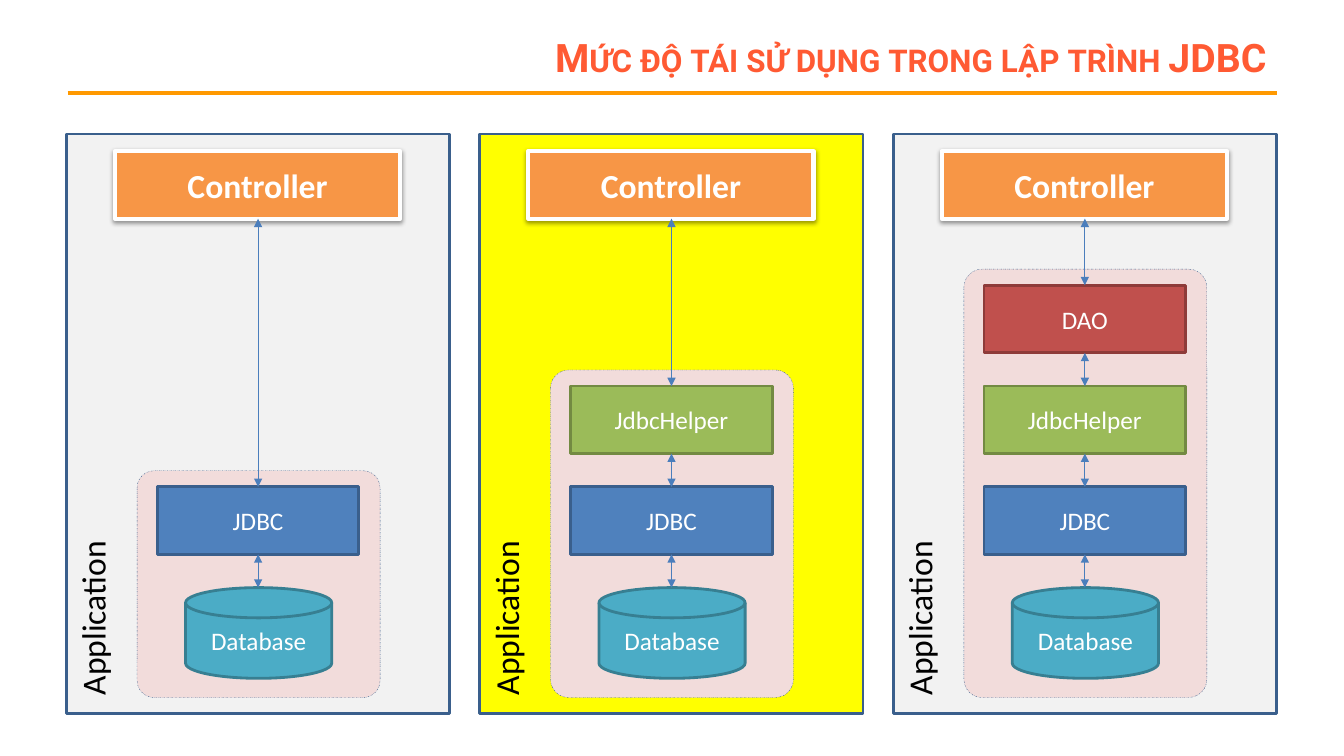
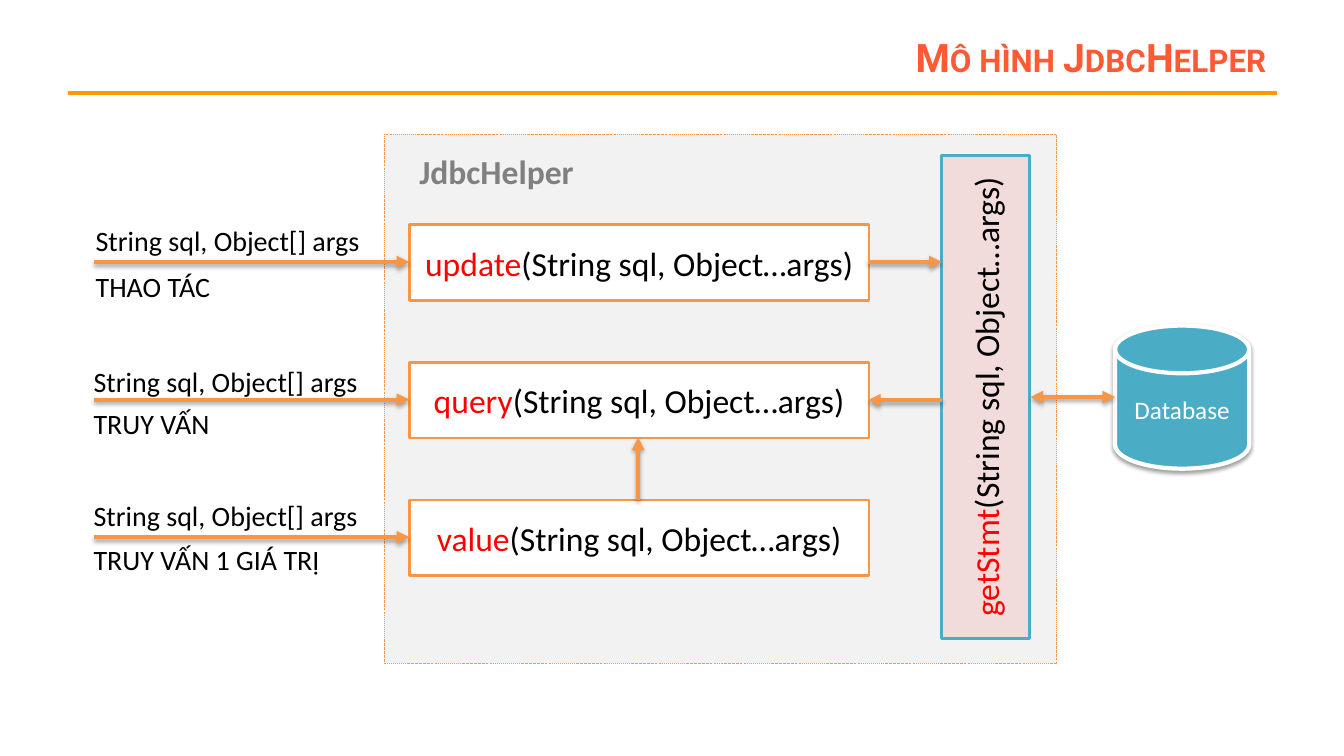
from lxml import etree
from pptx import Presentation
from pptx.dml.color import RGBColor
from pptx.enum import dml, shapes, text
from pptx.oxml import ns
from pptx.util import Inches, Pt

ORANGE_RED = RGBColor(0xFF, 0x5A, 0x33)
AMBER = RGBColor(0xFF, 0x99, 0x00)
ORANGE = RGBColor(0xF7, 0x96, 0x46)
BLUE = RGBColor(0x4F, 0x81, 0xBD)
BLUE_EDGE = RGBColor(0x3A, 0x5F, 0x8C)
BLUE_ARROW = RGBColor(0x4B, 0x7E, 0xBC)
GREEN = RGBColor(0x9B, 0xBB, 0x59)
GREEN_EDGE = RGBColor(0x73, 0x8A, 0x42)
BRICK = RGBColor(0xC0, 0x50, 0x4D)
BRICK_EDGE = RGBColor(0x8E, 0x3B, 0x39)
TEAL = RGBColor(0x4B, 0xAC, 0xC6)
TEAL_EDGE = RGBColor(0x37, 0x7F, 0x92)
PINK = RGBColor(0xF2, 0xDC, 0xDB)
PALE = RGBColor(0xF2, 0xF2, 0xF2)
YELLOW = RGBColor(0xFF, 0xFF, 0x00)
RED = RGBColor(0xFF, 0x00, 0x00)
GRAY = RGBColor(0x80, 0x80, 0x80)
BLACK = RGBColor(0x00, 0x00, 0x00)
WHITE = RGBColor(0xFF, 0xFF, 0xFF)

RECT = shapes.MSO_SHAPE.RECTANGLE
ROUNDED = shapes.MSO_SHAPE.ROUNDED_RECTANGLE
DISK = shapes.MSO_SHAPE.FLOWCHART_MAGNETIC_DISK

TITLE_BOX = (2.44, 0.3, 10.22, 0.53)
ARGS = "(String sql, Object…args)"
LAYERS = [("JDBC", 4.83, BLUE, BLUE_EDGE),
          ("JdbcHelper", 3.83, GREEN, GREEN_EDGE),
          ("DAO", 2.83, BRICK, BRICK_EDGE)]
METHODS = [("update", "THAO TÁC", 0.85, 2.17, 2.62),
           ("query", "TRUY VẤN", 0.83, 3.57, 3.98),
           ("value", "TRUY VẤN 1 GIÁ TRỊ", 0.83, 4.9, 5.33)]


def write(p, content, size=18, color=WHITE, bold=False, font="Calibri", align=None):
    """Append one formatted run to a paragraph and return it."""
    p.alignment = align
    r = p.add_run()
    r.text = content
    r.font.size, r.font.bold, r.font.name = Pt(size), bold, font
    r.font.color.rgb = color
    return r


def add_shadow(effects, alpha, distance):
    """Put a soft downward shadow into an effect list."""
    outer = etree.SubElement(effects, ns.qn("a:outerShdw"), blurRad=str(Pt(3.1)),
                             dist=str(Pt(distance)), dir="5400000", rotWithShape="0")
    color = etree.SubElement(outer, ns.qn("a:srgbClr"), val=str(BLACK))
    etree.SubElement(color, ns.qn("a:alpha"), val=str(alpha * 1000))


def add_box(slide, kind, box, fill, edge, width=2, dashed=False, shadow=False, runs=(), **fmt):
    """Draw a preset shape with centred runs given as (text, colour)."""
    sp = slide.shapes.add_shape(kind, *map(Inches, box))
    sp.fill.solid()
    sp.fill.fore_color.rgb = fill
    sp.line.color.rgb = edge
    sp.line.width = Pt(width)
    if dashed:
        sp.line.dash_style = dml.MSO_LINE.DASH_DOT
    sp.shadow.inherit = False
    if shadow:
        add_shadow(sp.element.spPr.find(ns.qn("a:effectLst")), 38, 1.6)
    tf = sp.text_frame
    tf.vertical_anchor = text.MSO_ANCHOR.MIDDLE
    for content, color in runs:
        write(tf.paragraphs[0], content, color=color, align=text.PP_ALIGN.CENTER, **fmt)
    return sp


def add_label(slide, box, content, **fmt):
    """Add a single-line text box."""
    sp = slide.shapes.add_textbox(*map(Inches, box))
    tf = sp.text_frame
    tf.word_wrap = False
    tf.auto_size = text.MSO_AUTO_SIZE.SHAPE_TO_FIT_TEXT
    write(tf.paragraphs[0], content, **fmt)
    return sp


def add_line(slide, start, end, color=ORANGE, width=3, ends=(), shadow=False):
    """Draw a straight line with arrowheads at the named ends."""
    line = slide.shapes.add_connector(shapes.MSO_CONNECTOR.STRAIGHT,
                                      *map(Inches, (*start, *end)))
    line.line.color.rgb = color
    line.line.width = Pt(width)
    spPr = line.element.spPr
    for name in ends:
        etree.SubElement(spPr.find(ns.qn("a:ln")), ns.qn(f"a:{name}End"), type="triangle")
    effects = etree.SubElement(spPr, ns.qn("a:effectLst"))
    if shadow:
        add_shadow(effects, 35, 1.8)
    return line


def add_slide(prs, title):
    """Add a slide with the shared title style."""
    slide = prs.slides.add_slide(prs.slide_layouts[5])
    sp = slide.shapes.title
    sp.left, sp.top, sp.width, sp.height = map(Inches, TITLE_BOX)
    tf = sp.text_frame
    tf.vertical_anchor = text.MSO_ANCHOR.MIDDLE
    r = write(tf.paragraphs[0], title, size=28, color=ORANGE_RED, bold=True,
              font="Roboto", align=text.PP_ALIGN.RIGHT)
    r.font.element.set("cap", "small") if hasattr(r.font, "element") else \
        r.text and tf.paragraphs[0].runs[0]._r.get_or_add_rPr().set("cap", "small")
    add_line(slide, (0.67, 0.92), (12.67, 0.92), AMBER)
    return slide


def add_stack(slide, center, layers, fill):
    """Draw one application panel with its controller, layers and database."""
    add_box(slide, RECT, (center - 1.9, 1.33, 3.8, 5.75), fill, BLUE_EDGE)
    top = layers[-1][1] - 0.16
    group = add_box(slide, ROUNDED, (center - 1.2, top, 2.41, 6.92 - top),
                    PINK, BLUE_EDGE, width=0.25, dashed=True)
    group.adjustments[0] = 0.075
    add_box(slide, DISK, (center - 0.72, 5.83, 1.45, 0.9), TEAL, TEAL_EDGE,
            runs=[("Database", WHITE)])
    below = 5.83
    for name, y, color, edge in layers:
        add_box(slide, RECT, (center - 1, y, 2, 0.67), color, edge, runs=[(name, WHITE)])
        add_stack_arrow(slide, center, y + 0.67, below)
        below = y
    add_box(slide, RECT, (center - 1.42, 1.5, 2.83, 0.67), ORANGE, WHITE, width=3,
            shadow=True, runs=[("Controller", WHITE)], size=24, bold=True)
    add_stack_arrow(slide, center, 2.17, below)
    label = add_label(slide, (center - 2.52, 5.87, 1.75, 0.5), "Application",
                      size=24, color=BLACK)
    label.rotation = 270


def add_stack_arrow(slide, x, top, bottom):
    """Draw a thin two-way vertical arrow."""
    add_line(slide, (x, top), (x, bottom), BLUE_ARROW, 0.75, ("head", "tail"))


def add_flow(slide, start, end, ends=("tail",)):
    """Draw a thick shadowed arrow."""
    add_line(slide, start, end, ends=ends, shadow=True)


def build_reuse_levels(prs):
    """Build the slide comparing three levels of reuse."""
    slide = add_slide(prs, "Mức độ tái sử dụng trong lập trình JDBC")
    for i, fill in enumerate((PALE, YELLOW, PALE)):
        add_stack(slide, 2.56 + 4.1 * i, LAYERS[:i + 1], fill)


def build_helper_model(prs):
    """Build the slide showing the helper's methods."""
    slide = add_slide(prs, "Mô hình JdbcHelper")
    add_box(slide, RECT, (3.81, 1.33, 6.67, 5.25), PALE, ORANGE, width=0.25, dashed=True)
    add_label(slide, (4.06, 1.45, 1.75, 0.5), "JdbcHelper", size=24, color=GRAY, bold=True)
    add_box(slide, DISK, (11.06, 3.23, 1.33, 1.42), TEAL, WHITE, width=3, shadow=True,
            runs=[("Database", WHITE)])
    statement = add_box(slide, RECT, (7.38, 3.5, 4.79, 0.88), PINK, TEAL,
                        runs=[("getStmt", RED), (ARGS, BLACK)], size=24)
    statement.rotation = 270
    for i, (name, caption, left, args_top, caption_top) in enumerate(METHODS):
        top = 2.23 + 1.365 * i
        add_label(slide, (left, args_top, 2.85, 0.44), "String sql, Object[] args",
                  size=20, color=BLACK)
        add_label(slide, (left, caption_top, 2.72, 0.44), caption, size=20, color=BLACK)
        add_box(slide, RECT, (4.06, top, 4.56, 0.75), WHITE, ORANGE,
                runs=[(name, RED), (ARGS, BLACK)], size=24)
        add_flow(slide, (0.93, top + 0.37), (4.06, top + 0.37))
    add_flow(slide, (8.61, 2.6), (9.34, 2.6))
    add_flow(slide, (9.34, 3.97), (8.61, 3.97))
    add_flow(slide, (10.22, 3.94), (11.06, 3.94), ("head", "tail"))
    add_flow(slide, (6.33, 4.96), (6.33, 4.34))


def main():
    """Build and save the presentation."""
    prs = Presentation()
    prs.slide_width, prs.slide_height = Inches(13.33), Inches(7.5)
    build_reuse_levels(prs)
    build_helper_model(prs)
    prs.save("out.pptx")


if __name__ == "__main__":
    main()
